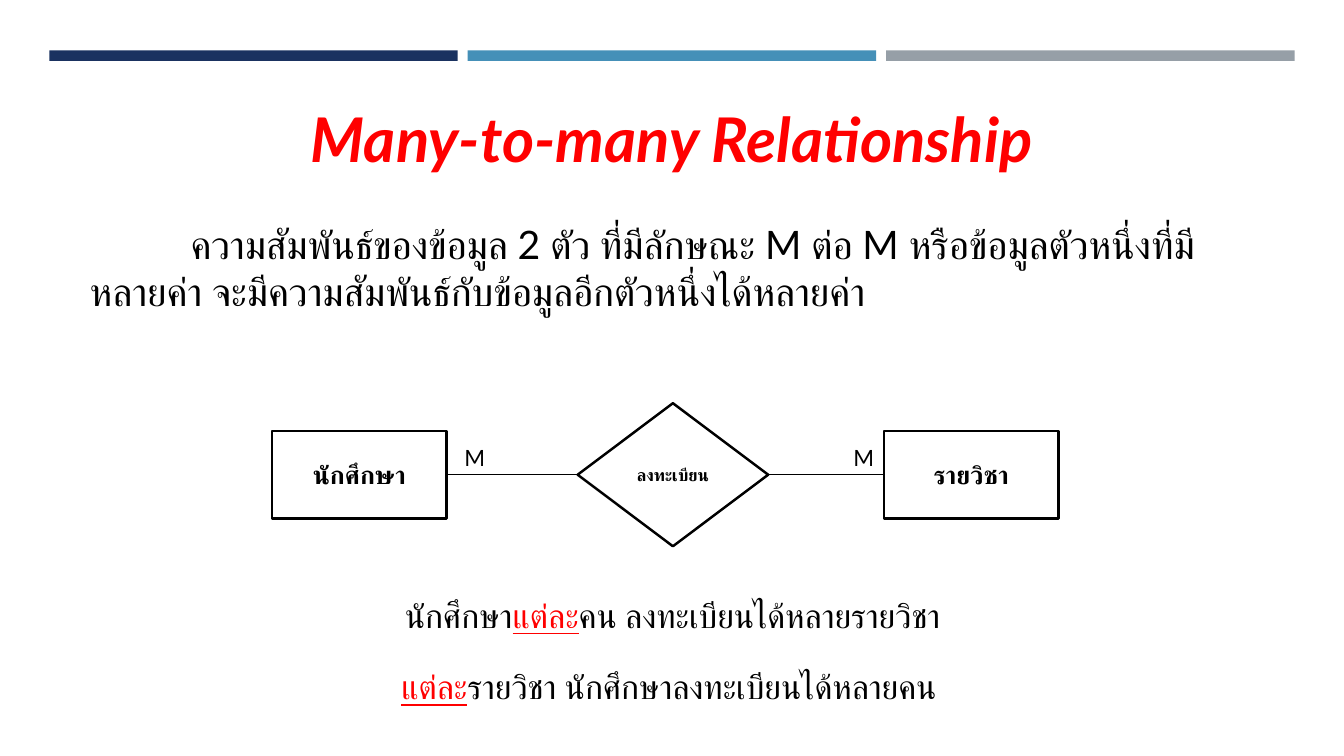
import pptx
import pptx.util
import pptx.dml.color
import pptx.enum.shapes
import pptx.enum.text
from lxml import etree

Pt = pptx.util.Pt
RGB = pptx.dml.color.RGBColor.from_string
SHAPE = pptx.enum.shapes.MSO_SHAPE
ANCHOR = pptx.enum.text.MSO_ANCHOR
ALIGN = pptx.enum.text.PP_ALIGN
FIT = pptx.enum.text.MSO_AUTO_SIZE

THEME = {
    "font": "Lato",
    "black": RGB("000000"), "red": RGB("FF0000"), "white": RGB("FFFFFF"),
    "bars": [RGB("1A3260"), RGB("4590B8"), RGB("969FA7")],
    "title": Pt(44), "body": Pt(28), "example": Pt(24),
    "entity": Pt(18), "cardinality": Pt(16), "relation": Pt(12),
}


def add_text(p, text, size, color="black", bold=None, italic=None, underline=None):
    r = p.add_run()
    r.text = text
    f = r.font
    f.name, f.size, f.color.rgb = THEME["font"], THEME[size], THEME[color]
    f.bold, f.italic, f.underline = bold, italic, underline


def place(sp, left, top, width, height):
    sp.left, sp.top, sp.width, sp.height = Pt(left), Pt(top), Pt(width), Pt(height)


prs = pptx.Presentation()
prs.slide_width, prs.slide_height = Pt(960), Pt(540)
s = prs.slides.add_slide(prs.slide_layouts[1])
title, body = s.placeholders

# Colour bars across the top
for i, color in enumerate(THEME["bars"]):
    sp = s.shapes.add_shape(SHAPE.RECTANGLE, Pt(35.2 + 298.9 * i), Pt(36), Pt(291.7), Pt(7.5))
    sp.shadow.inherit = False
    sp.fill.solid()
    sp.fill.fore_color.rgb = color
    sp.line.fill.background()

# Title and definition
place(title, 167.8, 60.5, 624.2, 67.7)
tf = title.text_frame
tf.auto_size, tf.vertical_anchor = FIT.NONE, ANCHOR.BOTTOM
tf.paragraphs[0].alignment = ALIGN.CENTER
add_text(tf.paragraphs[0], "Many-to-many Relationship", "title", "red", bold=True, italic=True)

place(body, 56.9, 153.4, 843.1, 348.5)
tf = body.text_frame
tf.auto_size, tf.vertical_anchor = FIT.NONE, ANCHOR.TOP
p = tf.paragraphs[0]
pPr = p._p.get_or_add_pPr()
pPr.set("marL", "0")
pPr.set("indent", str(Pt(72)))
etree.SubElement(pPr, pptx.oxml.ns.qn("a:buNone"))
add_text(p, "ความสัมพันธ์ของข้อมูล 2 ตัว ที่มีลักษณะ M ต่อ M หรือข้อมูลตัวหนึ่งที่มีหลายค่า "
            "จะมีความสัมพันธ์กับข้อมูลอีกตัวหนึ่งได้หลายค่า", "body")

# Entities and the relation between them, on one centre line
CENTER_Y = 339.1
nodes = []
for text, kind, left, width, height, size in [
    ("นักศึกษา", SHAPE.RECTANGLE, 194.4, 124.6, 62.6, "entity"),
    ("ลงทะเบียน", SHAPE.FLOWCHART_DECISION, 412.6, 136.1, 102.2, "relation"),
    ("รายวิชา", SHAPE.RECTANGLE, 631.4, 124.6, 62.6, "entity"),
]:
    sp = s.shapes.add_shape(kind, Pt(left), Pt(CENTER_Y - height / 2), Pt(width), Pt(height))
    sp.shadow.inherit = False
    sp.fill.solid()
    sp.fill.fore_color.rgb = THEME["white"]
    sp.line.color.rgb, sp.line.width = THEME["black"], Pt(1.75)
    tf = sp.text_frame
    tf.vertical_anchor = ANCHOR.MIDDLE
    tf.paragraphs[0].alignment = ALIGN.CENTER
    add_text(tf.paragraphs[0], text, size, bold=True)
    nodes.append(sp)

for start, end in zip(nodes, nodes[1:]):
    line = s.shapes.add_connector(pptx.enum.shapes.MSO_CONNECTOR.STRAIGHT, 0, 0, 0, 0)
    line.begin_connect(start, 3)
    line.end_connect(end, 1)
    line.line.color.rgb, line.line.width = THEME["black"], Pt(1)
    etree.SubElement(line._element.spPr, pptx.oxml.ns.qn("a:effectLst"))

# Cardinalities and example sentences
EACH = ("แต่ละ", {"color": "red", "underline": True})
for left, top, width, height, size, align, runs in [
    (324.7, 313.6, 33.8, 26.6, "cardinality", ALIGN.LEFT, [("M", {})]),
    (602.6, 313.6, 33.8, 26.6, "cardinality", ALIGN.LEFT, [("M", {})]),
    (160.6, 421.2, 639.4, 36, "example", ALIGN.CENTER,
     [("นักศึกษา", {}), EACH, ("คน ลงทะเบียนได้หลายรายวิชา", {})]),
    (167.8, 472.3, 619.9, 36, "example", ALIGN.CENTER,
     [EACH, ("รายวิชา นักศึกษาลงทะเบียนได้หลายคน", {})]),
]:
    tf = s.shapes.add_textbox(Pt(left), Pt(top), Pt(width), Pt(height)).text_frame
    tf.word_wrap, tf.auto_size = True, FIT.SHAPE_TO_FIT_TEXT
    p = tf.paragraphs[0]
    p.alignment = align
    for text, style in runs:
        add_text(p, text, size, **style)

prs.save("out.pptx")
